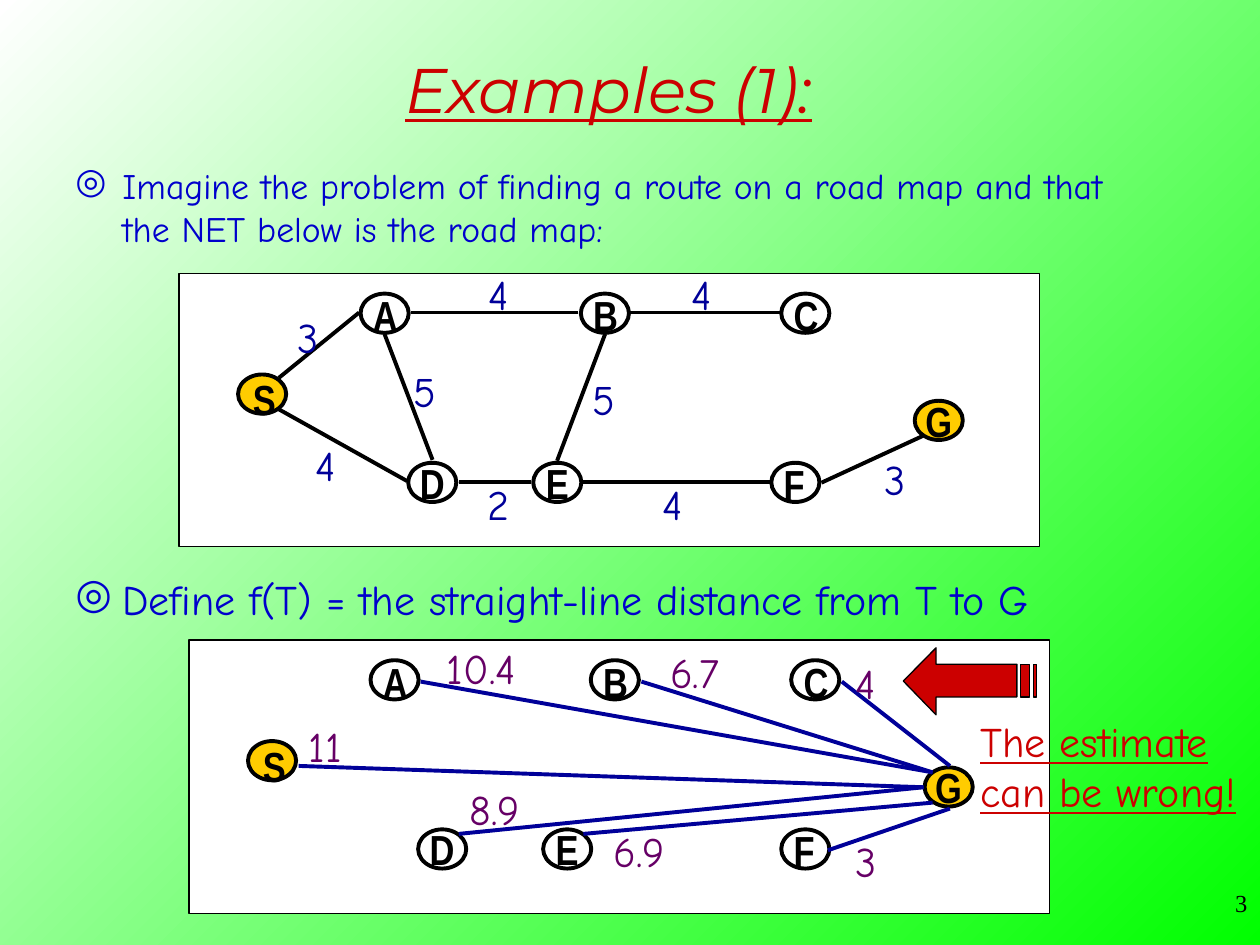
from lxml import etree
from pptx import Presentation
from pptx.dml.color import RGBColor
from pptx.enum.shapes import MSO_CONNECTOR, MSO_SHAPE
from pptx.enum.text import MSO_ANCHOR, MSO_AUTO_SIZE, PP_ALIGN
from pptx.oxml.ns import qn
from pptx.util import Cm, Pt

OVAL, RECTANGLE = MSO_SHAPE.OVAL, MSO_SHAPE.RECTANGLE
STRAIGHT = MSO_CONNECTOR.STRAIGHT
LEFT, CENTER, RIGHT = PP_ALIGN.LEFT, PP_ALIGN.CENTER, PP_ALIGN.RIGHT
TOP, MIDDLE = MSO_ANCHOR.TOP, MSO_ANCHOR.MIDDLE

BLACK = RGBColor(0x00, 0x00, 0x00)
WHITE = RGBColor(0xFF, 0xFF, 0xFF)
GREEN = RGBColor(0x00, 0xFF, 0x00)
RED = RGBColor(0xCC, 0x00, 0x00)
BLUE = RGBColor(0x00, 0x00, 0xCC)
NAVY = RGBColor(0x00, 0x00, 0x99)
PURPLE = RGBColor(0x66, 0x00, 0x66)
GOLD = RGBColor(0xFF, 0xCC, 0x00)

HAND, NODE_FONT = "Comic Neue", "Arial Narrow"
PANEL_WIDTH, PANEL_HEIGHT = 17.35, 5.51
NODE_WIDTH, NODE_HEIGHT = 0.97, 0.79
LABEL_HEIGHT = 1.27

# Node positions inside a panel: name -> left, top (cm)
NODES = {
    "A": (3.66, 0.41), "S": (1.19, 2.04), "D": (4.62, 3.82), "E": (7.14, 3.82),
    "C": (12.14, 0.41), "F": (11.94, 3.82), "B": (8.1, 0.41), "G": (14.83, 2.57),
}
GOLD_NODES = "SG"
# Letters in their own box: name -> offset from the node, box width
LETTER_BOXES = {
    "S": (0.05, -0.14, 0.97), "A": (0, -0.2, 0.99), "B": (0, -0.2, 0.99),
    "C": (0, -0.2, 0.99), "F": (0, -0.22, 0.91),
}
# Lines: start x, start y, end x, end y; labels: text, left, top, width
ROADS = [
    (2.01, 2.74, 4.6, 4.19), (2.01, 2.11, 3.63, 0.79), (5.64, 4.2, 7.09, 4.2),
    (4.67, 0.79, 8.05, 0.79), (9.09, 0.79, 12.12, 0.79), (8.13, 4.2, 11.91, 4.2),
    (12.95, 4.22, 14.99, 3.28), (5.11, 3.76, 4.14, 1.22), (7.62, 3.78, 8.59, 1.22),
]
ROAD_LABELS = [
    ("4", 5.99, -0.23, 0.91), ("4", 2.51, 3.23, 0.91), ("4", 9.5, 4.01, 0.91),
    ("4", 10.08, -0.23, 0.91), ("3", 2.13, 0.64, 0.94), ("3", 13.97, 3.51, 0.94),
    ("2", 5.97, 4.01, 0.94), ("5", 4.47, 1.73, 0.97), ("5", 8.08, 1.9, 0.97),
]
ESTIMATES = [
    (13.16, 0.84, 15.34, 2.54), (9.12, 0.84, 14.99, 2.67), (4.67, 0.84, 14.99, 2.67),
    (2.21, 2.54, 14.81, 2.97), (12.88, 4.24, 15.34, 3.4), (7.95, 3.91, 14.99, 3.28),
    (5.44, 3.91, 14.81, 2.97),
]
ESTIMATE_LABELS = [
    ("4", 13.18, 0.23, 0.91), ("6.7", 9.45, 0, 1.5), ("10.4", 4.95, -0.08, 2.1),
    ("11", 2.16, 1.5, 1.17), ("8.9", 5.41, 2.77, 1.52), ("6.9", 8.31, 3.61, 1.55),
    ("3", 13.18, 3.81, 0.94),
]
# Striped arrow outlines, relative to its top left corner
ARROW_OUTLINES = [
    [(2.29, 0.33), (0.66, 0.33), (0.66, 0), (0, 0.67),
     (0.66, 1.35), (0.66, 0.99), (2.29, 0.99)],
    [(2.36, 0.33), (2.54, 0.33), (2.54, 0.99), (2.36, 0.99)],
    [(2.62, 0.33), (2.69, 0.33), (2.69, 0.99), (2.62, 0.99)],
]


def add_run(paragraph, text, size, font, color, bold=False, italic=False, underline=False):
    run = paragraph.add_run()
    run.text = text
    run.font.size, run.font.name = Pt(size), font
    run.font.color.rgb = color
    run.font.bold, run.font.italic, run.font.underline = bold, italic, underline


def add_text(slide, box, lines, size, font, color, align=LEFT, anchor=TOP, wrap=True, **style):
    shape = slide.shapes.add_textbox(*map(Cm, box))
    frame = shape.text_frame
    frame.word_wrap, frame.vertical_anchor = wrap, anchor
    frame.auto_size = MSO_AUTO_SIZE.NONE if wrap else MSO_AUTO_SIZE.SHAPE_TO_FIT_TEXT
    for index, line in enumerate(lines):
        paragraph = frame.add_paragraph() if index else frame.paragraphs[0]
        paragraph.alignment = align
        add_run(paragraph, line, size, font, color, **style)
    return frame


def add_bullet_text(slide, box, text, size):
    frame = add_text(slide, box, [text], size, HAND, BLUE)
    paragraph = frame.paragraphs[0]
    paragraph.space_before = Pt(6)
    properties = paragraph._p.get_or_add_pPr()
    properties.set("marL", str(Cm(0.95)))
    properties.set("indent", str(-Cm(0.95)))
    bullet_color = etree.SubElement(properties, qn("a:buClr"))
    etree.SubElement(bullet_color, qn("a:srgbClr"), val=str(BLUE))
    etree.SubElement(properties, qn("a:buChar"), char="◎")


def style_shape(shape, fill, line_width):
    shape.shadow.inherit = False
    if fill is None:
        shape.fill.background()
    else:
        shape.fill.solid()
        shape.fill.fore_color.rgb = fill
    shape.line.color.rgb = BLACK
    shape.line.width = Pt(line_width)


def add_node(slide, left, top, name):
    shape = slide.shapes.add_shape(OVAL, Cm(left), Cm(top), Cm(NODE_WIDTH), Cm(NODE_HEIGHT))
    style_shape(shape, GOLD if name in GOLD_NODES else None, 2.24)
    if name in LETTER_BOXES:
        x, y, width = LETTER_BOXES[name]
        add_text(slide, (left + x, top + y, width, LABEL_HEIGHT), [name],
                 24, NODE_FONT, BLACK, wrap=False, bold=True)
        return
    frame = shape.text_frame
    frame.word_wrap, frame.vertical_anchor = False, MIDDLE
    frame.paragraphs[0].alignment = CENTER
    add_run(frame.paragraphs[0], name, 24, NODE_FONT, BLACK, bold=True)


def add_graph(slide, left, top, lines, line_color, labels, label_color):
    panel = slide.shapes.add_shape(RECTANGLE, Cm(left), Cm(top), Cm(PANEL_WIDTH), Cm(PANEL_HEIGHT))
    style_shape(panel, WHITE, 0.74)
    for name, (x, y) in NODES.items():
        add_node(slide, left + x, top + y, name)
    for x1, y1, x2, y2 in lines:
        line = slide.shapes.add_connector(
            STRAIGHT, Cm(left + x1), Cm(top + y1), Cm(left + x2), Cm(top + y2))
        line.line.color.rgb = line_color
        line.line.width = Pt(2.24)
        etree.SubElement(line._element.spPr, qn("a:effectLst"))
    for text, x, y, width in labels:
        add_text(slide, (left + x, top + y, width, LABEL_HEIGHT), [text],
                 24, HAND, label_color, wrap=False)


def add_warning(slide, left, top):
    outlines = [[(Cm(left + x), Cm(top + y)) for x, y in outline] for outline in ARROW_OUTLINES]
    builder = slide.shapes.build_freeform(*outlines[0][0])
    for index, outline in enumerate(outlines):
        if index:
            builder.move_to(*outline[0])
        builder.add_line_segments(outline[1:], close=True)
    style_shape(builder.convert_to_shape(), RED, 0.74)
    add_text(slide, (left + 1.3, top + 1.24, 5.66, 2.29), ["The estimate", "can be wrong!"],
             24, HAND, RED, wrap=False, underline=True)


def set_background(slide):
    fill = slide.background.fill
    fill.gradient()
    fill.gradient_angle = 135
    for stop, color, position in zip(fill.gradient_stops, (GREEN, WHITE), (0, 1)):
        stop.color.rgb = color
        stop.position = position


presentation = Presentation()
presentation.slide_width, presentation.slide_height = Cm(25.4), Cm(19.05)
slide = presentation.slides.add_slide(presentation.slide_layouts[6])
set_background(slide)

# Title and road map
add_text(slide, (1.47, 0.2, 21.59, 3.18), ["Examples (1):"], 36, "Montserrat", RED,
         align=CENTER, anchor=MIDDLE, italic=True, underline=True)
add_bullet_text(slide, (1.27, 3.18, 22.02, 2.11),
                "Imagine the problem of finding a route on a road map and that "
                "the NET below is the road map:", 20.4)
add_graph(slide, 3.61, 5.51, ROADS, BLACK, ROAD_LABELS, NAVY)

# Straight-line estimates
add_graph(slide, 3.81, 12.9, ESTIMATES, NAVY, ESTIMATE_LABELS, PURPLE)
add_bullet_text(slide, (1.27, 11.43, 22.02, 1.47),
                "Define f(T) = the straight-line distance from T to G", 24)
add_warning(slide, 18.21, 13.06)

# Slide number
add_text(slide, (20.12, 17.78, 5.28, 1.27), ["3"], 14, "Times New Roman", BLACK, align=RIGHT)

presentation.save("out.pptx")
